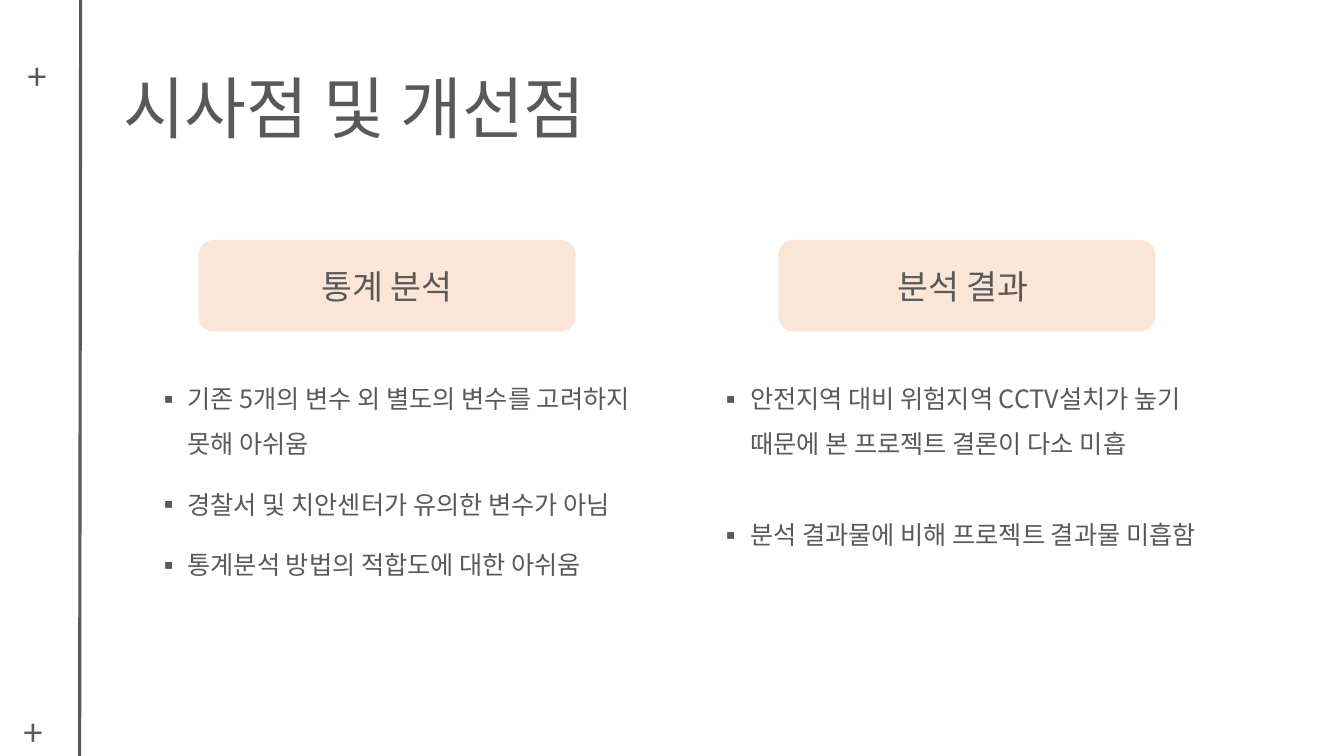
"""Build the slide on implications and improvements."""
from lxml.etree import SubElement
from pptx import Presentation
from pptx.dml.color import RGBColor
from pptx.enum.shapes import MSO_CONNECTOR, MSO_SHAPE
from pptx.enum.text import MSO_ANCHOR, MSO_AUTO_SIZE, PP_ALIGN
from pptx.oxml.ns import qn
from pptx.util import Inches, Pt

FONT, INK, PEACH = "Noto Sans CJK KR", "595959", "FBE5D6"
TITLE = "시사점 및 개선점"
COLUMNS = [
    {"heading": "통계 분석", "heading_left": 1.97, "body": (1.45, 3.6, 5.42, 2.22), "gap": 10.8,
     "points": ["기존 5개의 변수 외 별도의 변수를 고려하지\v못해 아쉬움",
                "경찰서 및 치안센터가 유의한 변수가 아님",
                "통계분석 방법의 적합도에 대한 아쉬움"]},
    {"heading": "분석 결과 ", "heading_left": 7.72, "body": (7.03, 3.6, 5.12, 1.92), "gap": 32.4,
     "points": ["안전지역 대비 위험지역 CCTV설치가 높기 때문에 본 프로젝트 결론이 다소 미흡",
                "분석 결과물에 비해 프로젝트 결과물 미흡함"]},
]
PLUS_SIGNS = [(0.17, 0, 0.45, 0.59), (0.13, 6.51, 0.49, 0.59)]


def color(value):
    return RGBColor.from_string(value)


def apply(target, values):
    for name, value in values.items():
        setattr(target, name, value)


def place(shape, box):
    apply(shape, dict(zip(("left", "top", "width", "height"), map(Inches, box))))


def write(paragraph, text, size, **values):
    paragraph.text = text
    apply(paragraph, values)
    for run in paragraph.runs:
        apply(run.font, {"size": Pt(size), "name": FONT, "bold": False})
        run.font.color.rgb = color(INK)
        SubElement(run.font._element, qn("a:ea"), typeface=FONT)


def add_bullet(paragraph):
    properties = paragraph._p.get_or_add_pPr()
    properties.set("marL", str(Inches(0.31)))
    properties.set("indent", str(-Inches(0.31)))
    SubElement(properties, qn("a:buFont"), typeface=FONT)
    SubElement(properties, qn("a:buChar"), char="▪")


def add_margin_line(slide):
    line = slide.shapes.add_connector(
        MSO_CONNECTOR.STRAIGHT, Inches(0.8), 0, Inches(0.79), Inches(7.5))
    line.line.color.rgb = color(INK)
    line.line.width = Pt(2.25)
    SubElement(line._element.spPr, qn("a:effectLst"))


def add_plus(slide, box):
    shape = slide.shapes.add_textbox(*map(Inches, box))
    shape.text_frame.word_wrap = True
    paragraph = shape.text_frame.paragraphs[0]
    write(paragraph, "+", 44, line_spacing=Pt(66))
    paragraph.runs[0].font._element.set("baseline", "-25000")


def add_heading(slide, text, left):
    shape = slide.shapes.add_shape(
        MSO_SHAPE.ROUNDED_RECTANGLE, *map(Inches, (left, 2.38, 3.74, 0.91)))
    shape.shadow.inherit = False
    shape.fill.solid()
    shape.fill.fore_color.rgb = color(PEACH)
    shape.line.fill.background()
    shape.text_frame.vertical_anchor = MSO_ANCHOR.MIDDLE
    write(shape.text_frame.paragraphs[0], text, 24, alignment=PP_ALIGN.CENTER)


def fill_body(body, column):
    place(body, column["body"])
    frame = body.text_frame
    apply(frame, {"word_wrap": True, "auto_size": MSO_AUTO_SIZE.NONE,
                  "vertical_anchor": MSO_ANCHOR.TOP})
    for index, point in enumerate(column["points"]):
        paragraph = frame.add_paragraph() if index else frame.paragraphs[0]
        add_bullet(paragraph)
        write(paragraph, point, 18, line_spacing=Pt(32.4),
              space_before=Pt(column["gap"] if index else 0))


def main():
    presentation = Presentation()
    apply(presentation, {"slide_width": Inches(13.33), "slide_height": Inches(7.5)})
    slide = presentation.slides.add_slide(presentation.slide_layouts[3])
    title, *bodies = slide.placeholders
    place(title, (1.12, 0, 9.77, 1.46))
    apply(title.text_frame, {"word_wrap": True, "auto_size": MSO_AUTO_SIZE.NONE,
                             "vertical_anchor": MSO_ANCHOR.BOTTOM, "margin_bottom": 0})
    write(title.text_frame.paragraphs[0], TITLE, 48,
          alignment=PP_ALIGN.LEFT, line_spacing=Pt(86.4))
    add_margin_line(slide)
    for box in PLUS_SIGNS:
        add_plus(slide, box)
    for body, column in zip(bodies, COLUMNS):
        add_heading(slide, column["heading"], column["heading_left"])
        fill_body(body, column)
    presentation.save("out.pptx")


if __name__ == "__main__":
    main()
